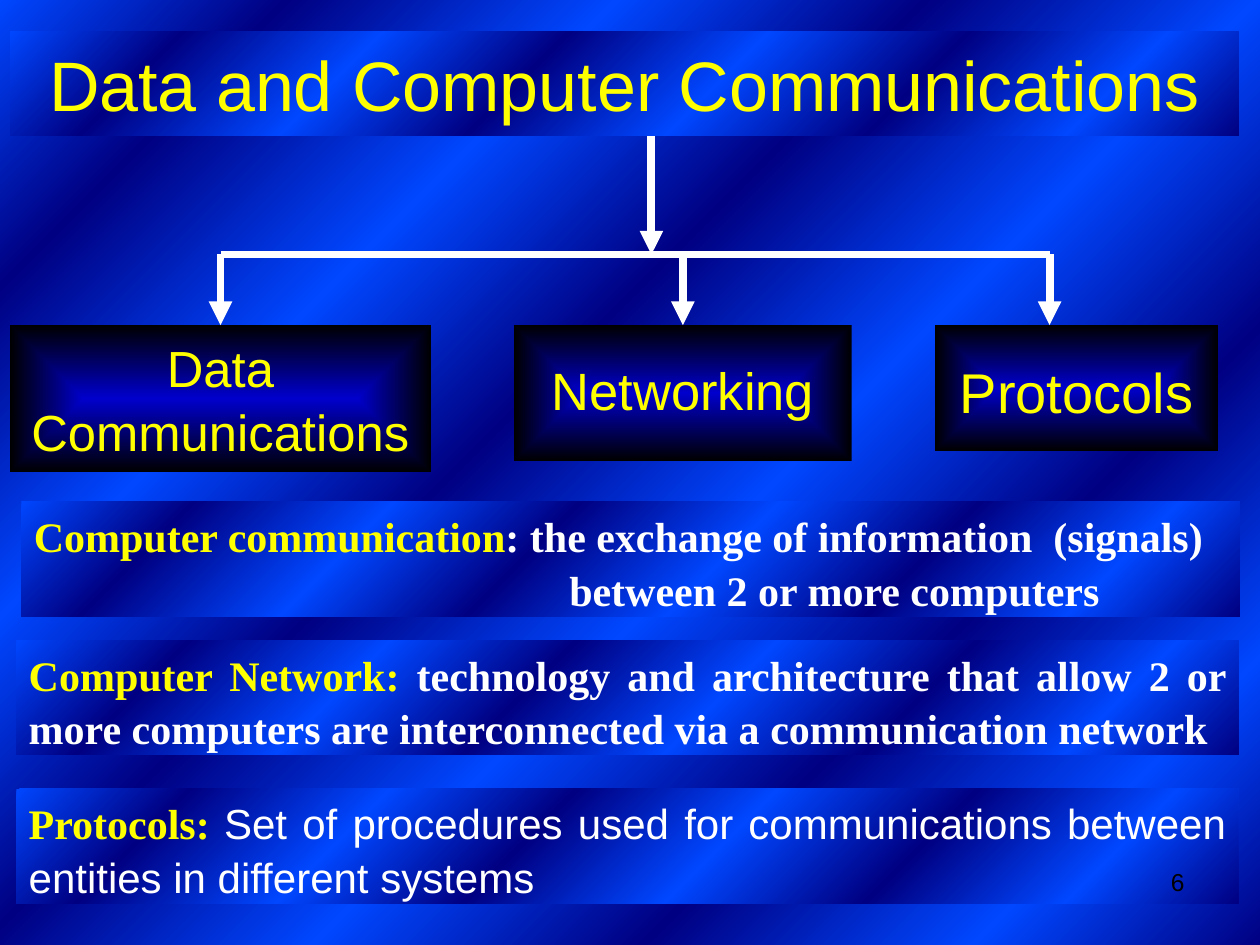
import pptx
import pptx.util
import pptx.dml.color
import pptx.enum.shapes
import pptx.enum.text
import pptx.oxml
import pptx.oxml.ns
from lxml import etree

Inches = pptx.util.Inches
Pt = pptx.util.Pt
qn = pptx.oxml.ns.qn
ALIGN = pptx.enum.text.PP_ALIGN
ANCHOR = pptx.enum.text.MSO_ANCHOR

COLORS = {
    "navy": "000082",
    "bright": "0047FF",
    "core": "0000CC",
    "black": "000000",
    "yellow": "FFFF00",
    "white": "FFFFFF",
}
WAVES = {
    "stops": [(pos, ("navy", "bright")[i % 2])
              for i, pos in enumerate((0, 13, 28, 43, 58, 72, 87, 100))],
    "kind": "circle",
    "center": {"l": 100, "t": 100},
}
GLOW = {
    "stops": [(0, "core"), (100, "black")],
    "kind": "shape",
    "center": {"l": 50, "t": 50, "r": 50, "b": 50},
}
SANS = "Arial"
SERIF = "Times New Roman"


def rgb(name):
    return pptx.dml.color.RGBColor.from_string(COLORS[name])


def apply_gradient(fill, element, gradient):
    fill.gradient()
    grad = element.find(".//" + qn("a:gradFill"))
    for child in list(grad):
        grad.remove(child)
    stops = etree.SubElement(grad, qn("a:gsLst"))
    for pos, color in gradient["stops"]:
        stop = etree.SubElement(stops, qn("a:gs"), pos=str(pos * 1000))
        etree.SubElement(stop, qn("a:srgbClr"), val=COLORS[color])
    shade = etree.SubElement(grad, qn("a:path"), path=gradient["kind"])
    edges = {side: str(value * 1000) for side, value in gradient["center"].items()}
    etree.SubElement(shade, qn("a:fillToRect"), **edges)


def style_font(font, size, name, color, bold=False):
    font.size = Pt(size)
    font.name = name
    font.bold = bold
    font.color.rgb = rgb(color)


def add_panel(slide, box, gradient, anchor=ANCHOR.TOP, top=0.05):
    sp = slide.shapes.add_shape(
        pptx.enum.shapes.MSO_SHAPE.RECTANGLE, *map(Inches, box))
    sp.shadow.inherit = False
    apply_gradient(sp.fill, sp.element.spPr, gradient)
    sp.line.fill.background()
    tf = sp.text_frame
    tf.word_wrap = True
    tf.vertical_anchor = anchor
    tf.margin_top = Inches(top)
    return sp


def add_heading(slide, text, box, size, gradient, spacing=1.0, **layout):
    sp = add_panel(slide, box, gradient, **layout)
    p = sp.text_frame.paragraphs[0]
    p.text = text
    p.alignment = ALIGN.CENTER
    p.line_spacing = spacing
    style_font(p.font, size, SANS, "yellow")
    return sp


def add_definition(slide, box, term, meaning, align, font=SERIF, bold=True, second=None):
    tf = add_panel(slide, box, WAVES).text_frame
    p = tf.paragraphs[0]
    r = p.add_run()
    r.text = term
    style_font(r.font, 24, SERIF, "yellow", True)
    r = p.add_run()
    r.text = meaning
    style_font(r.font, 24, font, "white", bold)
    if second:
        p = tf.add_paragraph()
        p.text = second
        p._p.get_or_add_pPr().set("marL", str(Inches(4.25)))
        style_font(p.font, 24, font, "white", bold)
    for p in tf.paragraphs:
        p.alignment = align
        p.line_spacing = 1.06


def add_line(slide, x1, y1, x2, y2, arrow=True):
    line = slide.shapes.add_connector(
        pptx.enum.shapes.MSO_CONNECTOR.STRAIGHT, *map(Inches, (x1, y1, x2, y2)))
    line.line.color.rgb = rgb("white")
    line.line.width = Pt(4.5)
    if arrow:
        etree.SubElement(line.line._get_or_add_ln(), qn("a:tailEnd"), type="triangle")
    etree.SubElement(line.element.spPr, qn("a:effectLst"))
    return line


def add_page_number(slide, number):
    tf = slide.shapes.add_textbox(*map(Inches, (7.17, 6.83, 2.33, 0.52))).text_frame
    tf.word_wrap = True
    p = tf.paragraphs[0]
    p.text = number
    p.alignment = ALIGN.RIGHT
    style_font(p.font, 14, SANS, "black")


def main():
    prs = pptx.Presentation()
    prs.slide_width = Inches(10)
    prs.slide_height = Inches(7.5)
    slide = prs.slides.add_slide(prs.slide_layouts[6])
    apply_gradient(slide.background.fill, slide.element, WAVES)

    add_heading(slide, "Data and Computer Communications",
                (0.08, 0.25, 9.75, 0.83), 40, WAVES, anchor=ANCHOR.MIDDLE)
    data = add_heading(slide, "Data Communications", (0.08, 2.58, 3.34, 1.17),
                       29, GLOW, spacing=1.05, top=0.07)
    networking = add_heading(slide, "Networking", (4.08, 2.58, 2.68, 1.08),
                             30, GLOW, top=0.26)
    add_heading(slide, "Protocols", (7.42, 2.58, 2.25, 1), 32, GLOW, top=0.26)

    bar_y, branch_y = 2.02, 2.58
    add_line(slide, 1.75, bar_y, 8.33, bar_y, arrow=False)
    for x, target in ((1.75, data), (5.42, networking), (8.33, None)):
        line = add_line(slide, x, bar_y, x, branch_y)
        if target:
            line.end_connect(target, 0)
    add_line(slide, 5.17, 1.08, 5.17, bar_y)

    add_definition(slide, (0.17, 3.98, 9.67, 0.91), "Computer communication",
                   ": the exchange of information  (signals)", ALIGN.LEFT,
                   second="between 2 or more computers")
    add_definition(slide, (0.13, 5.08, 9.7, 0.91), "Computer Network: ",
                   "technology and architecture that allow 2 or more computers "
                   "are interconnected via a communication network", ALIGN.JUSTIFY)
    add_definition(slide, (0.13, 6.26, 9.7, 0.91), "Protocols: ",
                   "Set of procedures used for communications between entities "
                   "in different systems", ALIGN.JUSTIFY, font=SANS, bold=False)
    add_page_number(slide, "6")
    prs.save("out.pptx")


if __name__ == "__main__":
    main()
